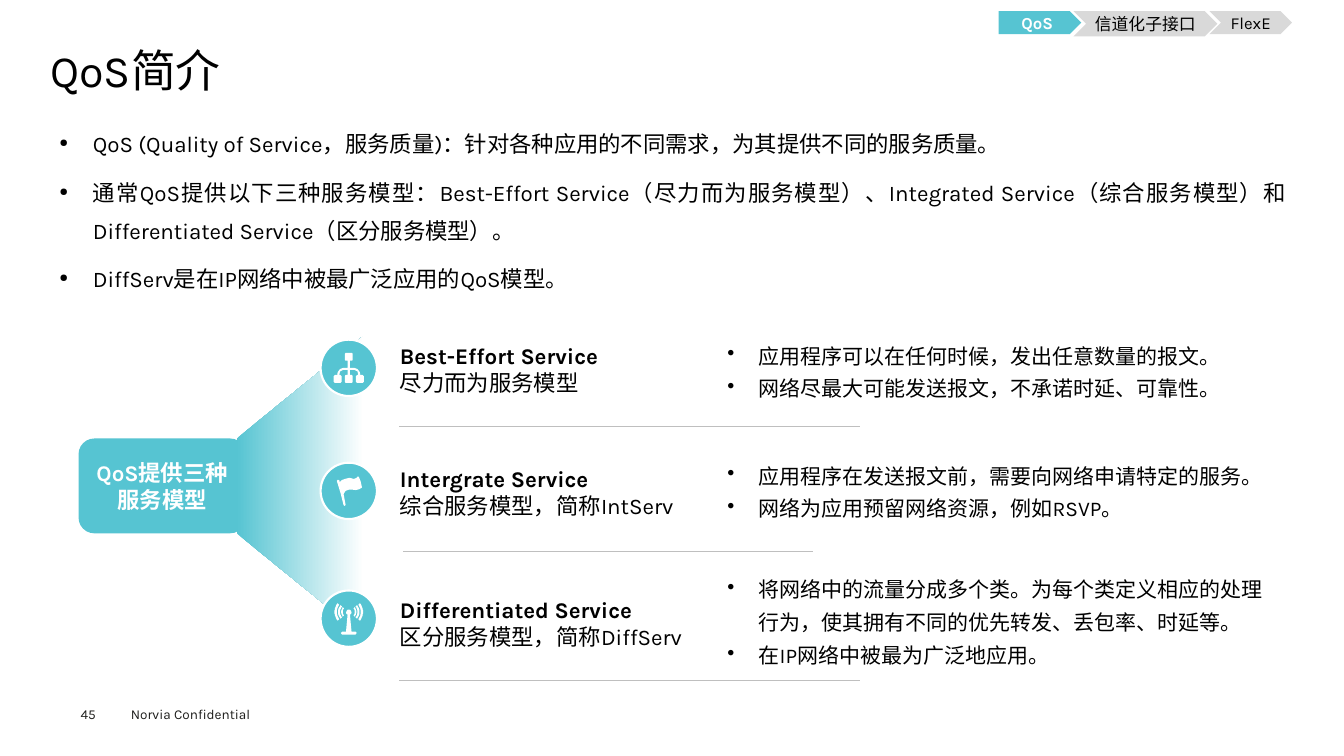
import dataclasses
import math
import typing

import lxml.etree
import pptx
import pptx.dml.color
import pptx.enum.dml
import pptx.enum.shapes
import pptx.enum.text
import pptx.oxml.ns
import pptx.util

Cm = pptx.util.Cm
Pt = pptx.util.Pt
Preset = pptx.enum.shapes.MSO_SHAPE
Align = pptx.enum.text.PP_ALIGN
Anchor = pptx.enum.text.MSO_ANCHOR
Points = list[tuple[float, float]]
Area = tuple[float, float, float, float]


@dataclasses.dataclass(frozen=True)
class Theme:
    font: str = "Karla"
    accent: str = "56C4D2"
    white: str = "FFFFFF"
    black: str = "000000"
    tag: str = "D9D9D9"
    rule: str = "BFBFBF"
    footer: str = "1D1D1B"
    title_size: float = 32
    body_size: float = 16
    detail_size: float = 15
    tag_size: float = 12
    footer_size: float = 9.7


@dataclasses.dataclass(frozen=True)
class Bullet:
    char: str
    indent: float
    percent: int = 100


@dataclasses.dataclass(frozen=True)
class Tag:
    text: str
    preset: typing.Any
    area: Area
    fill: str
    color: str
    bold: bool


@dataclasses.dataclass(frozen=True)
class Service:
    name: str
    subtitle: str
    details: list[str]
    disc_top: float
    label_top: float
    label_height: float
    detail_area: Area
    rule: tuple[float, float, float]
    icon: list[Points]


THEME = Theme()
DISC_LEFT, DISC_SIZE = 8.08, 1.42
LABEL_LEFT, LABEL_WIDTH = 9.83, 10.64


def rgb(color: str) -> pptx.dml.color.RGBColor:
    return pptx.dml.color.RGBColor.from_string(color)


def mirror(points: Points) -> Points:
    return [(-x, y) for x, y in points]


def wave(outer: float, inner: float) -> Points:
    angles = [math.radians(degree) for degree in range(-38, 39, 4)]
    arcs = [(outer, angle) for angle in angles] + [(inner, angle) for angle in reversed(angles)]
    return [(radius * math.cos(angle), radius * math.sin(angle) - 17) for radius, angle in arcs]


TREE_HALF = [(0, -38), (8, -38), (10, -35), (10, -20), (8, -18), (3, -18), (3, 0), (14, 0),
             (22, 3), (28, 11), (29, 18), (35, 18), (38, 21), (38, 35), (35, 38), (21, 38),
             (18, 35), (18, 21), (21, 18), (24, 18), (22, 9), (14, 5), (3, 5), (3, 18),
             (8, 18), (10, 21), (10, 35), (8, 38), (0, 38)]
FLAG = [(33, -10), (30, -24), (25, -36), (22, -36), (20, -33), (13, -30), (2, -33), (-10, -30),
        (-18, -27), (-23, -22), (-24, -27), (-28, -28), (-30, -25), (-20, 8), (-13, 36),
        (-10, 38), (-8, 35), (-13, 8), (-8, 0), (0, -3), (9, -3), (18, -2), (26, -4), (33, -8)]
MAST_HALF = [(0, -23), (4, -22), (7, -16), (6, -12), (3, -10), (7, 33), (17, 33), (20, 36),
             (17, 40), (0, 40)]
WAVES = [wave(outer, inner) for outer, inner in [(36, 30), (27, 22), (19, 15)]]
TREE_ICON = [TREE_HALF + mirror(TREE_HALF)[::-1]]
ANTENNA_ICON = [MAST_HALF + mirror(MAST_HALF)[::-1], *WAVES, *map(mirror, WAVES)]

TAGS = [
    Tag("QoS", Preset.PENTAGON, (25.17, 0.28, 2.08, 0.58), THEME.accent, THEME.white, True),
    Tag("FlexE", Preset.CHEVRON, (30.48, 0.28, 2.08, 0.58), THEME.tag, THEME.black, False),
    Tag("信道化子接口", Preset.CHEVRON, (27.05, 0.28, 3.63, 0.64), THEME.tag, THEME.black, False),
]
SERVICES = [
    Service("Best-Effort Service", "尽力而为服务模型",
            ["应用程序可以在任何时候，发出任意数量的报文。", "网络尽最大可能发送报文，不承诺时延、可靠性。"],
            8.56, 8.13, 2.34, (18.08, 8.33, 13.79, 1.93), (10.06, 21.67, 10.74), TREE_ICON),
    Service("Intergrate Service", "综合服务模型，简称IntServ",
            ["应用程序在发送报文前，需要向网络申请特定的服务。", "网络为应用预留网络资源，例如RSVP。"],
            11.66, 11.35, 2.11, (18.08, 11.35, 13.79, 1.93), (10.16, 20.5, 13.89), [FLAG]),
    Service("Differentiated Service", "区分服务模型，简称DiffServ",
            ["将网络中的流量分成多个类。为每个类定义相应的处理行为，使其拥有不同的优先转发、丢包率、时延等。",
             "在IP网络中被最为广泛地应用。"],
            14.88, 14.53, 2.36, (18.08, 14.22, 14.05, 2.77), (10.06, 21.67, 17.15), ANTENNA_ICON),
]
INTRODUCTION = [
    "QoS (Quality of Service，服务质量)：针对各种应用的不同需求，为其提供不同的服务质量。",
    "通常QoS提供以下三种服务模型：Best-Effort Service（尽力而为服务模型）、Integrated Service（综合服务模型）和Differentiated Service（区分服务模型）。",
    "DiffServ是在IP网络中被最广泛应用的QoS模型。",
]


def write(box, lines: list[str], *, size: float, color: str = THEME.black,
          bold: tuple[bool, ...] = (False,), align=Align.LEFT, anchor=Anchor.TOP,
          spacing: float = 1.0, before: float = 0, bullet: Bullet | None = None,
          inset: tuple[float, float] = (0.25, 0.13)) -> None:
    frame = box.text_frame
    frame.word_wrap = True
    frame.vertical_anchor = anchor
    frame.margin_left = frame.margin_right = Cm(inset[0])
    frame.margin_top = frame.margin_bottom = Cm(inset[1])
    for index, line in enumerate(lines):
        para = frame.add_paragraph() if index else frame.paragraphs[0]
        if bullet:
            properties = para._p.get_or_add_pPr()
            properties.set("marL", str(Cm(bullet.indent)))
            properties.set("indent", str(-Cm(bullet.indent)))
            for name, key, value in [("a:buSzPct", "val", str(bullet.percent * 1000)),
                                     ("a:buChar", "char", bullet.char)]:
                lxml.etree.SubElement(properties, pptx.oxml.ns.qn(name)).set(key, value)
        para.alignment = align
        para.line_spacing = spacing
        para.space_before = Pt(before if index else 0)
        span = para.add_run()
        span.text = line
        span.font.size = Pt(size)
        span.font.bold = bold[min(index, len(bold) - 1)]
        span.font.color.rgb = rgb(color)
        span.font.name = THEME.font
        east_asian = lxml.etree.SubElement(span._r.get_or_add_rPr(), pptx.oxml.ns.qn("a:ea"))
        east_asian.set("typeface", THEME.font)


def add_text(page, area: Area, lines: list[str], **style) -> None:
    write(page.shapes.add_textbox(*map(Cm, area)), lines, **style)


def add_block(page, preset, area: Area, fill: str):
    block = page.shapes.add_shape(preset, *map(Cm, area))
    block.shadow.inherit = False
    block.fill.solid()
    block.fill.fore_color.rgb = rgb(fill)
    block.line.fill.background()
    return block


def add_outline(page, contours: list[Points], left: float = 0, top: float = 0):
    builder = page.shapes.build_freeform(*contours[0][0], scale=Cm(0.01))
    for index, contour in enumerate(contours):
        if index:
            builder.move_to(*contour[0])
        builder.add_line_segments(contour[1:], close=True)
    outline = builder.convert_to_shape(Cm(left), Cm(top))
    outline.shadow.inherit = False
    outline.line.fill.background()
    return outline


def add_rule(page, left: float, right: float, top: float) -> None:
    rule = page.shapes.add_connector(pptx.enum.shapes.MSO_CONNECTOR.STRAIGHT,
                                     Cm(left), Cm(top), Cm(right), Cm(top))
    rule.line.color.rgb = rgb(THEME.rule)
    rule.line.width = Pt(0.25)
    lxml.etree.SubElement(rule._element.spPr, pptx.oxml.ns.qn("a:effectLst"))


def add_hub(page) -> None:
    hub = add_block(page, Preset.ROUNDED_RECTANGLE, (1.98, 11.05, 4.22, 2.39), THEME.accent)
    write(hub, ["QoS提供三种", "服务模型"], size=THEME.body_size, color=THEME.white,
          bold=(True,), align=Align.CENTER, anchor=Anchor.MIDDLE)
    fan = add_outline(page, [[(917, 846), (917, 1603), (597, 1344), (597, 1105)]])
    fan.fill.gradient()
    fan.fill.gradient_angle = 0
    for stop, color in zip(fan.fill.gradient_stops, [THEME.accent, THEME.white]):
        stop.color.rgb = rgb(color)


def add_service(page, service: Service) -> None:
    disc = add_block(page, Preset.OVAL, (DISC_LEFT, service.disc_top, DISC_SIZE, DISC_SIZE),
                     THEME.accent)
    disc.line.color.rgb = rgb(THEME.white)
    disc.line.width = Pt(1.5)
    icon = add_outline(page, service.icon, DISC_LEFT + DISC_SIZE / 2,
                       service.disc_top + DISC_SIZE / 2)
    icon.fill.solid()
    icon.fill.fore_color.rgb = rgb(THEME.white)
    add_text(page, (LABEL_LEFT, service.label_top, LABEL_WIDTH, service.label_height),
             [service.name, service.subtitle], size=THEME.body_size, bold=(True, False),
             anchor=Anchor.MIDDLE)
    add_text(page, service.detail_area, service.details, size=THEME.detail_size,
             spacing=1.3, bullet=Bullet("•", 0.79))


def main() -> None:
    deck = pptx.Presentation()
    deck.slide_width, deck.slide_height = Cm(33.87), Cm(19.05)
    page = deck.slides.add_slide(deck.slide_layouts[6])
    add_text(page, (3.05, 17.65, 4.06, 0.69), ["Norvia Confidential"],
             size=THEME.footer_size, color=THEME.footer)
    add_text(page, (2.03, 17.78, 1.4, 0.41), ["45"], size=THEME.footer_size,
             color=THEME.footer, inset=(0, 0))
    add_text(page, (1.27, 1.24, 31.37, 1.35), ["QoS简介"], size=THEME.title_size,
             spacing=0.9, inset=(0, 0))
    add_text(page, (1.27, 2.92, 31.37, 13.56), INTRODUCTION, size=THEME.body_size,
             align=Align.JUSTIFY, spacing=1.4, before=7.9, bullet=Bullet("●", 0.84, 50),
             inset=(0.23, 0.1))
    for service in SERVICES:
        add_rule(page, *service.rule)
    add_hub(page)
    for service in SERVICES:
        add_service(page, service)
    for tag in TAGS:
        block = add_block(page, tag.preset, tag.area, tag.fill)
        write(block, [tag.text], size=THEME.tag_size, color=tag.color, bold=(tag.bold,),
              align=Align.CENTER, anchor=Anchor.MIDDLE, inset=(0, 0))
    deck.save("out.pptx")


if __name__ == "__main__":
    main()
